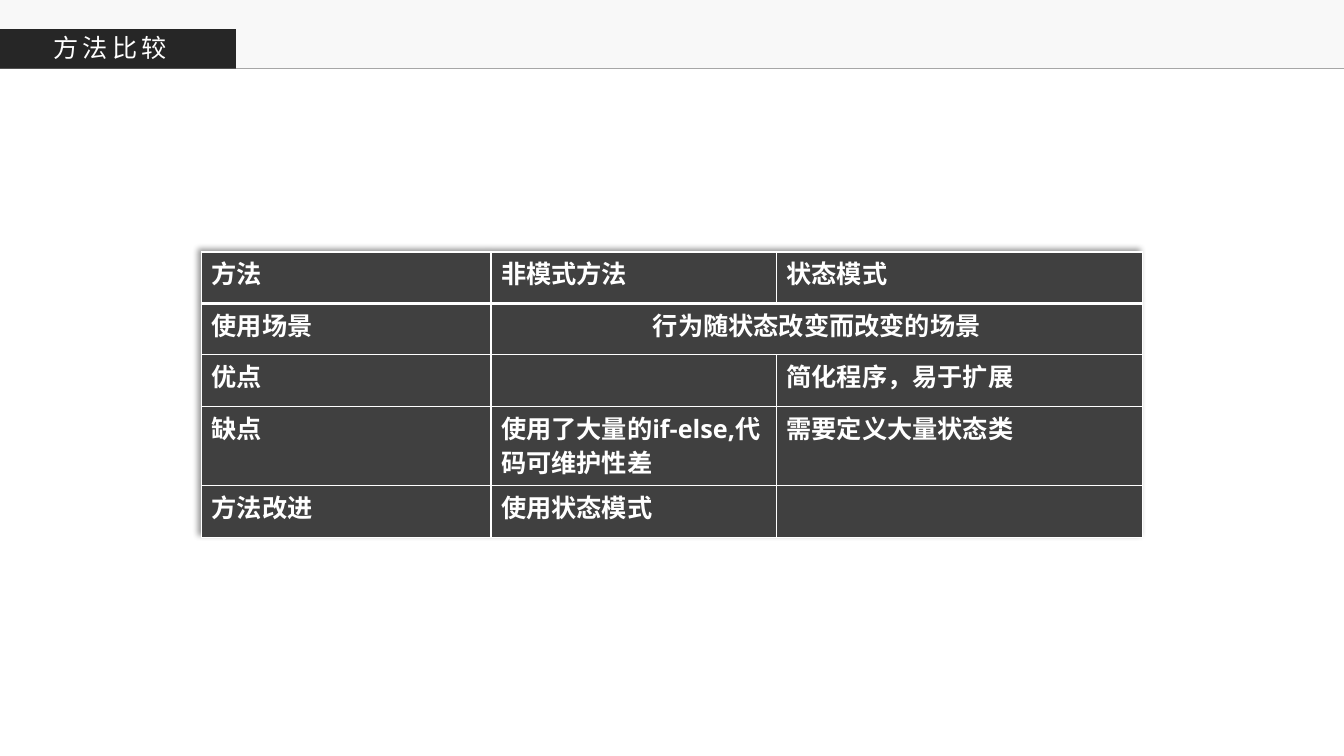
import pptx
import pptx.util
import pptx.dml.color
import pptx.enum.shapes
import pptx.enum.text
import pptx.oxml
import pptx.oxml.ns
from dataclasses import dataclass

Inches = pptx.util.Inches
Pt = pptx.util.Pt
Color = pptx.dml.color.RGBColor.from_string
Align = pptx.enum.text.PP_ALIGN
qn = pptx.oxml.ns.qn
NS = pptx.oxml.ns.nsdecls("a")


@dataclass(frozen=True)
class Theme:
    band: str = "F2F2F2"
    rule: str = "A6A6A6"
    tab: str = "262626"
    cell: str = "404040"
    light: str = "FFFFFF"
    size: int = 18
    head: str = "Arial"
    body: str = "Open Sans"


THEME = Theme()
WIDTH, HEIGHT = 13.33, 7.5
BASE = 0.68  # lower edge of the header
COLS = [2.87, 2.83, 3.63]
ROWS = [0.51, 0.51, 0.51, 0.79, 0.51]
TEXTS = [
    ["方法", "非模式方法", "状态模式"],
    ["使用场景", "行为随状态改变而改变的场景", ""],
    ["优点", "", "简化程序，易于扩展"],
    ["缺点", "使用了大量的if-else,代码可维护性差", "需要定义大量状态类"],
    ["方法改进", "使用状态模式", ""],
]


def add_run(para, text, face, bold=False):
    run = para.add_run()
    run.text = text
    font = run.font
    font.name, font.size, font.bold = face, Pt(THEME.size), bold
    font.color.rgb = Color(THEME.light)
    font._element.append(pptx.oxml.parse_xml(f'<a:ea {NS} typeface="{face}"/>'))
    return run


def add_bar(slide, top, width, height, color, alpha=None):
    bar = slide.shapes.add_shape(
        pptx.enum.shapes.MSO_SHAPE.RECTANGLE,
        0, Inches(top), Inches(width), Inches(height))
    bar.shadow.inherit = False
    bar.fill.solid()
    bar.fill.fore_color.rgb = Color(color)
    bar.line.fill.background()
    if alpha is not None:
        tint = bar._element.spPr.find(".//" + qn("a:srgbClr"))
        tint.append(pptx.oxml.parse_xml(f'<a:alpha {NS} val="{alpha * 1000}"/>'))


def add_rule(slide):
    rule = slide.shapes.add_connector(
        pptx.enum.shapes.MSO_CONNECTOR.STRAIGHT,
        0, Inches(BASE), Inches(WIDTH), Inches(BASE))
    rule.line.color.rgb = Color(THEME.rule)
    rule.line.width = Pt(0.5)
    rule._element.spPr.append(pptx.oxml.parse_xml(f"<a:effectLst {NS}/>"))


def set_title(slide, text):
    title = slide.shapes.title
    title.left, title.top = Inches(0.43), Inches(0.27)
    title.width, title.height = Inches(1.62), Inches(0.4)
    frame = title.text_frame
    frame.word_wrap = True
    frame.auto_size = pptx.enum.text.MSO_AUTO_SIZE.SHAPE_TO_FIT_TEXT
    frame.vertical_anchor = pptx.enum.text.MSO_ANCHOR.TOP
    para = frame.paragraphs[0]
    para.alignment = Align.LEFT
    run = add_run(para, text, THEME.head)
    run.font._element.set("spc", "300")
    # Bring the title in front of the header bars
    slide.shapes._spTree.append(title._element)


def set_edges(cell, widths):
    props = cell._tc.get_or_add_tcPr()
    for spot, (side, width) in enumerate(widths.items()):
        props.insert(spot, pptx.oxml.parse_xml(
            f'<a:ln{side} {NS} w="{Pt(width)}"><a:solidFill>'
            f'<a:srgbClr val="{THEME.light}"/></a:solidFill></a:ln{side}>'))


def add_shade(table):
    table._tbl.tblPr.insert(0, pptx.oxml.parse_xml(
        f'<a:effectLst {NS}><a:outerShdw blurRad="50800" dist="38100" '
        'dir="13500000" algn="br" rotWithShape="0"><a:srgbClr val="000000">'
        '<a:alpha val="40000"/></a:srgbClr></a:outerShdw></a:effectLst>'))


def add_grid(slide):
    table = slide.shapes.add_table(
        len(ROWS), len(COLS), Inches(2), Inches(2.5),
        Inches(sum(COLS)), Inches(sum(ROWS))).table
    table.horz_banding = False
    for col, width in zip(table.columns, COLS):
        col.width = Inches(width)
    for row, height in zip(table.rows, ROWS):
        row.height = Inches(height)
    for r, line in enumerate(TEXTS):
        for c, text in enumerate(line):
            cell = table.cell(r, c)
            cell.fill.solid()
            cell.fill.fore_color.rgb = Color(THEME.cell)
            # The header row is set off by a heavy edge
            set_edges(cell, {"L": 1, "R": 1, "T": 3 if r == 1 else 1,
                             "B": 3 if r == 0 else 1})
            para = cell.text_frame.paragraphs[0]
            if text:
                add_run(para, text, THEME.body, bold=True)
            else:
                para.font.size = Pt(THEME.size)
    # One scene serves both methods
    shared = table.cell(1, 1)
    shared.merge(table.cell(1, 2))
    shared.text_frame.paragraphs[0].alignment = Align.CENTER
    add_shade(table)


def main():
    deck = pptx.Presentation()
    deck.slide_width, deck.slide_height = Inches(WIDTH), Inches(HEIGHT)
    slide = deck.slides.add_slide(deck.slide_layouts[5])
    # Header
    add_bar(slide, 0, WIDTH, BASE, THEME.band, alpha=50)
    add_rule(slide)
    add_bar(slide, 0.29, 2.34, BASE - 0.29, THEME.tab)
    set_title(slide, "方法比较")
    # Comparison
    add_grid(slide)
    deck.save("out.pptx")


if __name__ == "__main__":
    main()
